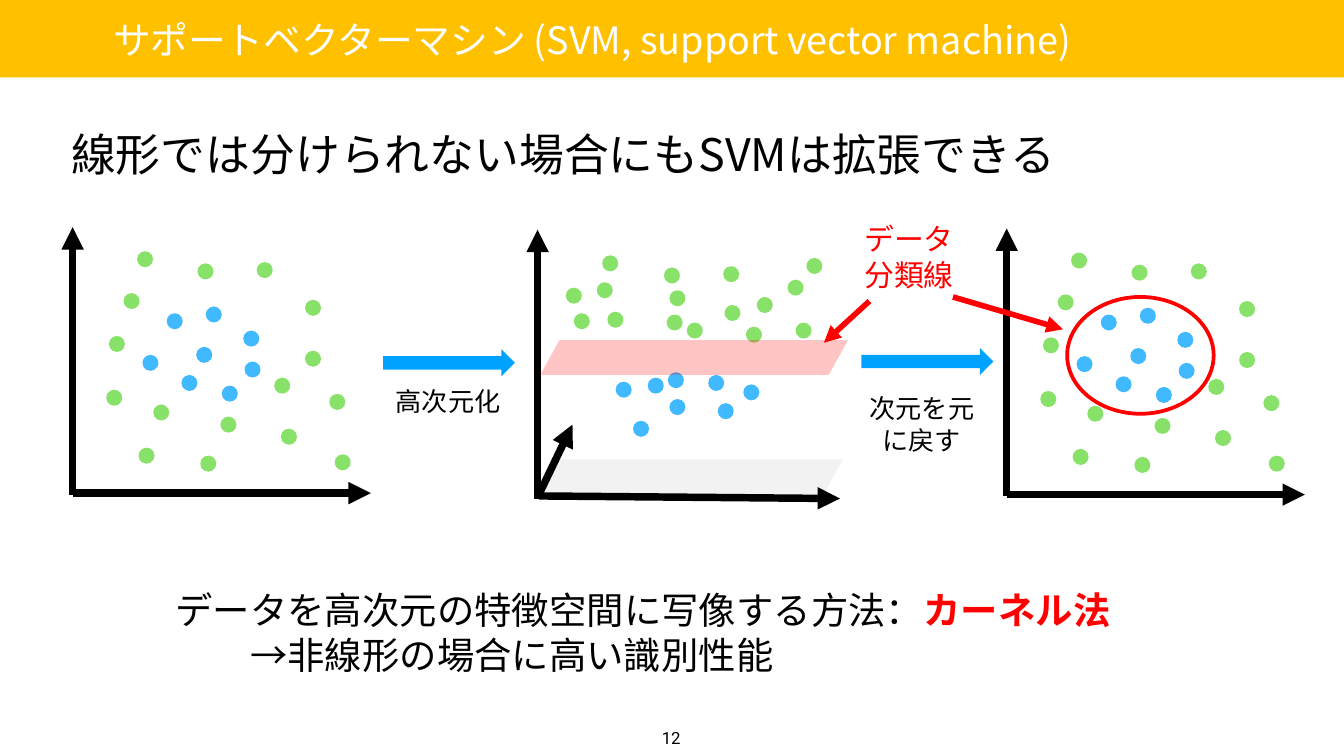
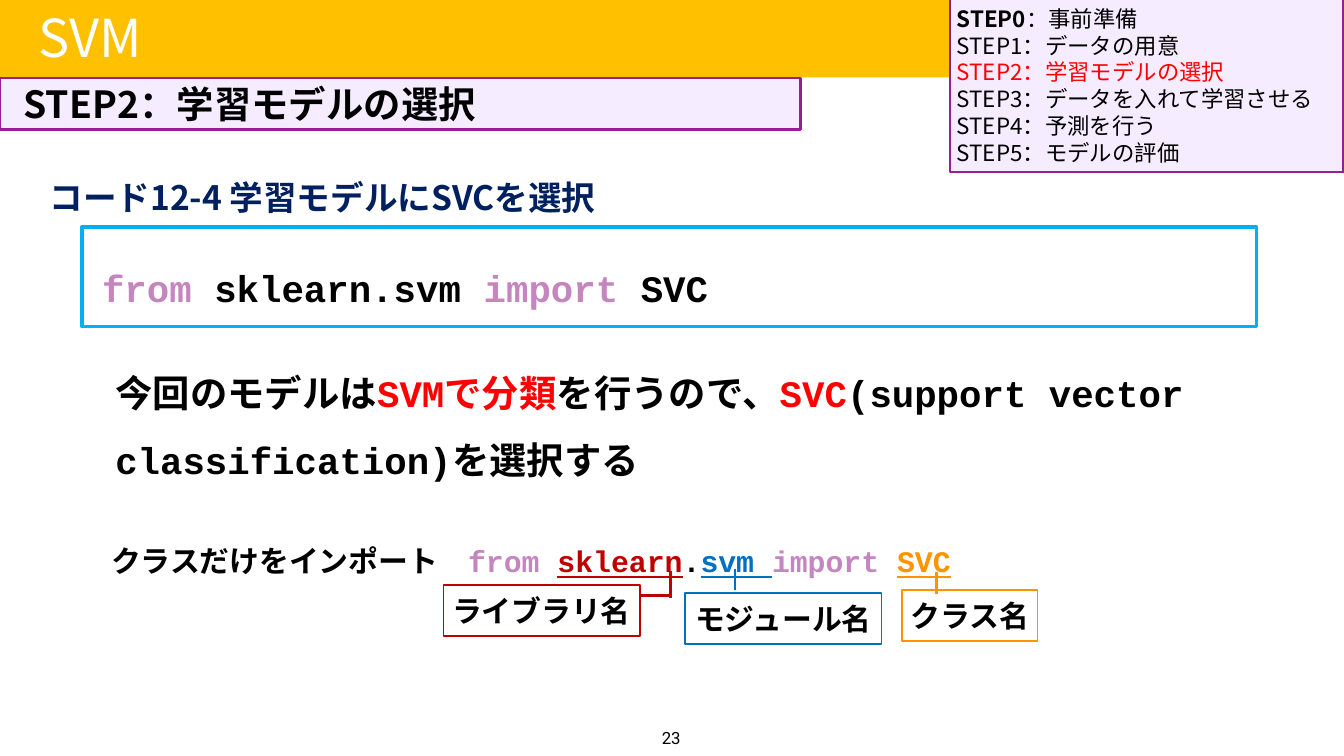
from lxml import etree
from pptx import Presentation
from pptx.dml.color import RGBColor
from pptx.enum import shapes, text
from pptx.oxml.ns import qn
from pptx.util import Pt

BLACK = RGBColor(0x00, 0x00, 0x00)
WHITE = RGBColor(0xFF, 0xFF, 0xFF)
RED = RGBColor(0xFF, 0x00, 0x00)
GOLD = RGBColor(0xFF, 0xC0, 0x00)
BLUE = RGBColor(0x00, 0xA2, 0xFF)
GREEN = RGBColor(0x61, 0xD8, 0x36)
GRAY = RGBColor(0xF2, 0xF2, 0xF2)
LILAC = RGBColor(0xF5, 0xEC, 0xFF)
PURPLE = RGBColor(0x94, 0x20, 0x92)
SKY = RGBColor(0x00, 0xB0, 0xF0)
PINK = RGBColor(0xC5, 0x86, 0xC0)
NAVY = RGBColor(0x00, 0x20, 0x60)
WINE = RGBColor(0xC0, 0x00, 0x00)
AZURE = RGBColor(0x00, 0x70, 0xC0)
ORANGE = RGBColor(0xFF, 0x93, 0x00)

SANS, MONO = "Noto Sans CJK JP", "Courier New"
FORM = shapes.MSO_SHAPE
LEFT, MID = text.PP_ALIGN.LEFT, text.PP_ALIGN.CENTER


def put(page, box, words="", kind=None, fill=None, alpha=None, edge=None,
        thick=1, size=16, hue=BLACK, bold=False, font=SANS, align=LEFT,
        pad=(1.8, 1.8), left=0, hang=0, lead=None, wrap=True, top=False):
    area = [Pt(n) for n in box]
    if kind == "title":
        shape = page.shapes.title
        shape.left, shape.top, shape.width, shape.height = area
    elif kind is None:
        shape = page.shapes.add_textbox(*area)
    else:
        shape = page.shapes.add_shape(kind, *area)
        shape.shadow.inherit = False
        if fill is None:
            shape.fill.background()
        else:
            shape.fill.solid()
            shape.fill.fore_color.rgb = fill
        if alpha:
            tone = shape._element.spPr.find(".//" + qn("a:srgbClr"))
            etree.SubElement(tone, qn("a:alpha"), val=str(alpha * 1000))
        if edge is None:
            shape.line.fill.background()
        else:
            shape.line.color.rgb = edge
            shape.line.width = Pt(thick)
    if not words:
        return shape
    frame = shape.text_frame
    frame.word_wrap = wrap
    frame.auto_size = text.MSO_AUTO_SIZE.NONE
    frame.vertical_anchor = text.MSO_ANCHOR.TOP if top else text.MSO_ANCHOR.MIDDLE
    frame.margin_left = frame.margin_right = Pt(pad[0])
    frame.margin_top = frame.margin_bottom = Pt(pad[1])
    para = frame.paragraphs[0]
    for part, look in [(words, {})] if isinstance(words, str) else words:
        for i, line in enumerate(part.split("\n")):
            if i:
                para = frame.add_paragraph()
            para.alignment = align
            if lead:
                para.line_spacing = lead
            props = para._p.get_or_add_pPr()
            props.set("marL", str(Pt(left)))
            props.set("indent", str(Pt(hang)))
            if not line:
                continue
            run = para.add_run()
            run.text = line
            run.font.size = Pt(size)
            run.font.name = font
            run.font.color.rgb = look.get("hue", hue)
            run.font.bold = look.get("bold", bold)
            run.font.underline = look.get("under", False)
            east = etree.SubElement(run._r.get_or_add_rPr(), qn("a:ea"))
            east.set("typeface", SANS)
    return shape


def draw(page, start, end, hue=BLACK, thick=4, tip=True):
    line = page.shapes.add_connector(
        shapes.MSO_CONNECTOR.STRAIGHT, *[Pt(n) for n in start + end])
    line.line.color.rgb = hue
    line.line.width = Pt(thick)
    if tip:
        etree.SubElement(line.line._ln, qn("a:tailEnd"), type="triangle")
    etree.SubElement(line._element.spPr, qn("a:effectLst"))


deck = Presentation()
deck.slide_width, deck.slide_height = Pt(720), Pt(405)
pages = []
for name, box, size, align, num in [
    ("サポートベクターマシン (SVM, support vector machine)",
     (12.2, 7.2, 609.8, 27.4), 20.2, MID, "12"),
    ("SVM", (18.7, 1.4, 313.9, 36.7), 28, LEFT, "23"),
]:
    page = deck.slides.add_slide(deck.slide_layouts[5])
    band = put(page, (0, 0, 720, 41.4), kind=FORM.RECTANGLE, fill=GOLD)
    page.shapes._spTree.insert(2, band._element)
    put(page, box, name, kind="title", size=size, hue=WHITE, align=align)
    put(page, (350.6, 385.9, 18, 18.7), num, size=9, font="Roboto",
        align=MID, pad=(4, 4), wrap=False, top=True)
    pages.append(page)
space, code = pages

flat = {
    BLUE: [(89.3, 167.8), (76.3, 190.1), (97.2, 200.9), (131, 193.7),
           (105.1, 185.8), (118.8, 206.6), (130.3, 177.1), (110.2, 164.2)],
    GREEN: [(118.1, 223.2), (82.1, 216.7), (56.9, 208.8), (74.2, 239.8),
            (107.3, 244.1), (146.9, 202.3), (163.4, 187.9), (179.3, 243.4),
            (73.4, 134.6), (150.5, 229.7), (176.4, 211), (105.8, 141.1),
            (137.5, 140.4), (163.4, 160.6), (66.2, 157), (58.3, 180)],
}
deep = {
    BLUE: [(339.1, 225.4), (329.8, 204.5), (347, 202.3), (379.4, 200.9),
           (357.8, 199.4), (358.6, 213.8), (398.2, 205.9), (384.5, 216)],
    GREEN: [(367.9, 172.8), (358.6, 155.5), (303.1, 154.1), (325.4, 167),
            (357.1, 168.5), (388.1, 163.4), (421.9, 149.8), (432, 138.2),
            (322.6, 136.8), (399.6, 175), (426.2, 172.8), (355.7, 143.3),
            (387.4, 142.6), (405.4, 159.1), (319.7, 151.2), (307.4, 167.8)],
}
put(space, (286.6, 246.2, 164.9, 18.7), kind=FORM.PARALLELOGRAM,
    fill=GRAY).adjustments[0] = 0.552
for cloud, dx, dy in [(flat, 0, 0), (flat, 500.4, 0.7), (deep, 0, 0)]:
    for hue, dots in cloud.items():
        for x, y in dots:
            put(space, (x + dx, y + dy, 8.6, 8.6), kind=FORM.OVAL,
                fill=hue, alpha=75)
for start, end in [
    ((38.9, 265), (38.9, 121.7)), ((38.9, 264.2), (198.7, 264.2)),
    ((539.3, 265.7), (539.3, 122.4)), ((539.3, 265), (699.1, 265)),
    ((288, 267.1), (288, 123.1)), ((288.7, 265.7), (450, 267.1)),
    ((288.7, 265), (306.7, 227.5)),
]:
    draw(space, start, end)
put(space, (571.7, 159.1, 78.5, 62.6), kind=FORM.OVAL, edge=RED, thick=2)
put(space, (289.4, 182.2, 164.9, 18.7), kind=FORM.PARALLELOGRAM,
    fill=RED, alpha=23).adjustments[0] = 0.552
for x, y in [(205.2, 187.2), (461.5, 186.5)]:
    put(space, (x, y, 70.6, 14.4), kind=FORM.RIGHT_ARROW, fill=BLUE)
for box, words, size, hue in [
    ((206.6, 204.5, 67, 20.2), "高次元化", 14, BLACK),
    ((458.6, 208.8, 70.6, 36.7), "次元を元に戻す", 14, BLACK),
    ((455, 116.6, 64.1, 41.8), "データ分類線", 16, RED),
]:
    put(space, box, words, size=size, hue=hue, align=MID)
for start, end in [((465.8, 161.3), (441.4, 183.6)),
                   ((510.5, 159.1), (569.5, 176.4))]:
    draw(space, start, end, hue=RED, thick=3)
put(space, (25.2, 63.4, 553, 37.4),
    "線形では分けられない場合にもSVMは拡張できる",
    size=24, align=MID, pad=(4, 4), wrap=False)
note = put(space, (90, 310.3, 657.4, 56.9), [
    ("データを高次元の特徴空間に写像する方法：", {}),
    ("カーネル法", {"hue": RED, "bold": True}),
    ("\n→非線形の場合に高い識別性能", {}),
], size=20, pad=(4, 4))
note.text_frame.paragraphs[1]._p.pPr.set("marL", str(Pt(40)))

put(code, (43.9, 121.7, 629.3, 53.3), [
    ("from ", {"hue": PINK}), ("sklearn.svm ", {}),
    ("import", {"hue": PINK}), (" SVC", {}),
], kind=FORM.RECTANGLE, edge=SKY, thick=2, size=20, bold=True, font=MONO,
    pad=(0, 8.6), left=10.8, lead=1.5)
put(code, (0, 41.8, 429.1, 27.4), "STEP2：学習モデルの選択",
    kind=FORM.RECTANGLE, fill=LILAC, edge=PURPLE, thick=1.5, size=20,
    bold=True, left=10.8)
put(code, (43.9, 182.9, 629.3, 77), [
    ("今回のモデルは", {}), ("SVMで分類", {"hue": RED}),
    ("を行うので、", {}), ("SVC", {"hue": RED}),
    ("(support vector classification)を選択する", {}),
], size=20, bold=True, font=MONO, pad=(7.2, 3.6), left=10.8, lead=1.5, top=True)
put(code, (51.1, 281.5, 648.7, 62.6), [
    ("クラスだけをインポート　", {}), ("from ", {"hue": PINK}),
    ("sklearn", {"hue": WINE, "under": True}), (".", {}),
    ("svm ", {"hue": AZURE, "under": True}), ("import ", {"hue": PINK}),
    ("SVC", {"hue": ORANGE, "under": True}),
], bold=True, font=MONO, pad=(7.2, 3.6), left=1.4, lead=1.3, top=True)
for x, y, wide, words, hue in [
    (237.6, 313.2, 105.1, "ライブラリ名", WINE),
    (367.2, 317.5, 105.1, "モジュール名", AZURE),
    (483.1, 316.1, 72.7, "クラス名", ORANGE),
]:
    put(code, (x, y, wide, 27.4), words, kind=FORM.RECTANGLE, edge=hue,
        bold=True, font=MONO, align=MID, pad=(4, 4), wrap=False)
for start, end, hue in [
    ((359.3, 320.4), (359.3, 306), WINE), ((360, 319), (342.7, 319), WINE),
    ((393.8, 316.1), (393.8, 304.6), AZURE),
    ((501.8, 318.2), (501.8, 306.7), ORANGE),
]:
    draw(code, start, end, hue=hue, thick=1.5, tip=False)
put(code, (509, -0.7, 211, 92.9), [
    ("STEP0", {"bold": True}), ("：事前準備\nSTEP1：データの用意", {}),
    ("\nSTEP2：学習モデルの選択", {"hue": RED}),
    ("\nSTEP3：データを入れて学習させる\nSTEP4：予測を行う\nSTEP5：モデルの評価", {}),
], kind=FORM.RECTANGLE, fill=LILAC, edge=PURPLE, thick=1.5, size=12,
    pad=(0, 2.9), left=7.2, hang=-3.6)
put(code, (8.6, 80.6, 474.5, 37.4), "コード12-4 学習モデルにSVCを選択",
    size=18, hue=NAVY, bold=True, pad=(7.2, 3.6), left=10.8, lead=1.5, top=True)
deck.save("out.pptx")
